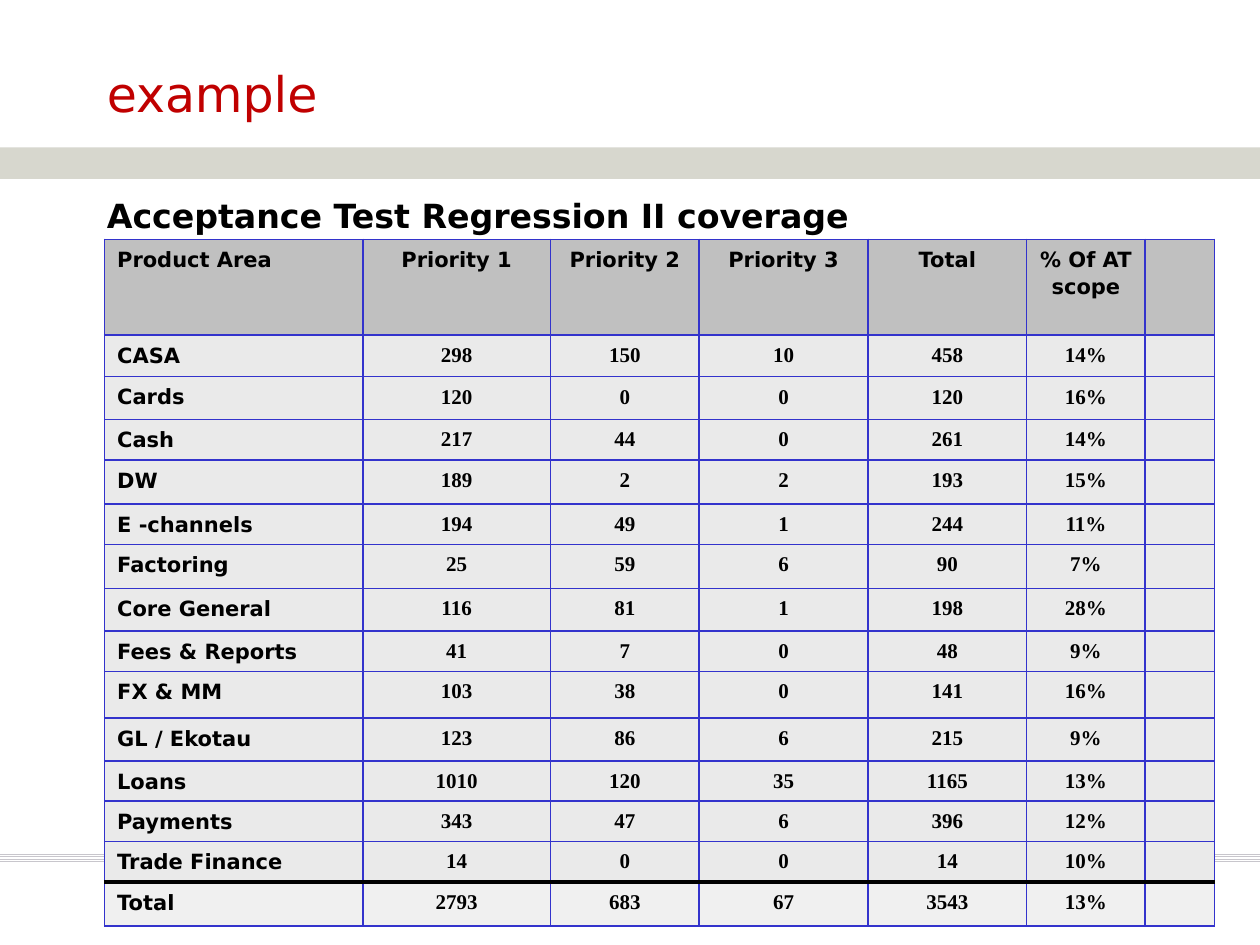
from lxml import etree
from pptx import Presentation
from pptx.dml.color import RGBColor
from pptx.enum.shapes import MSO_CONNECTOR, MSO_SHAPE
from pptx.enum.text import MSO_ANCHOR, PP_ALIGN
from pptx.oxml.ns import qn
from pptx.util import Inches, Pt

STRAIGHT = MSO_CONNECTOR.STRAIGHT
RECTANGLE = MSO_SHAPE.RECTANGLE
TOP, MIDDLE = MSO_ANCHOR.TOP, MSO_ANCHOR.MIDDLE
LEFT, CENTER = PP_ALIGN.LEFT, PP_ALIGN.CENTER

SANS, SERIF = "DejaVu Sans", "Times New Roman"
COLORS = {
    "title": "C00000",
    "text": "000000",
    "band": "D7D7CE",
    "rule": "C8C6CC",
    "header": "C0C0C0",
    "body": "EAEAEA",
    "total": "F0F0F0",
    "border": "3333CC",
    "total_border": "000000",
}

COLUMN_WIDTHS = [2.05, 1.49, 1.18, 1.34, 1.26, 0.94, 0.55]
ROW_HEIGHTS = [0.76, 0.33, 0.34, 0.32, 0.35, 0.32, 0.35, 0.34,
               0.32, 0.37, 0.34, 0.32, 0.32, 0.32, 0.35]
COVERAGE = [
    ["Product Area", "Priority 1", "Priority 2", "Priority 3", "Total", "% Of AT scope", ""],
    ["CASA", "298", "150", "10", "458", "14%", ""],
    ["Cards", "120", "0", "0", "120", "16%", ""],
    ["Cash", "217", "44", "0", "261", "14%", ""],
    ["DW", "189", "2", "2", "193", "15%", ""],
    ["E -channels", "194", "49", "1", "244", "11%", ""],
    ["Factoring", "25", "59", "6", "90", "7%", ""],
    ["Core General", "116", "81", "1", "198", "28%", ""],
    ["Fees & Reports", "41", "7", "0", "48", "9%", ""],
    ["FX & MM", "103", "38", "0", "141", "16%", ""],
    ["GL / Ekotau", "123", "86", "6", "215", "9%", ""],
    ["Loans", "1010", "120", "35", "1165", "13%", ""],
    ["Payments", "343", "47", "6", "396", "12%", ""],
    ["Trade Finance", "14", "0", "0", "14", "10%", ""],
    ["Total", "2793", "683", "67", "3543", "13%", ""],
]


def rgb(name):
    return RGBColor.from_string(COLORS[name])


def style_paragraph(para, size, color, bold=False, font=SANS, align=LEFT, spacing=1.0):
    para.alignment = align
    para.line_spacing = spacing
    para.font.name = font
    para.font.size = Pt(size)
    para.font.bold = bold
    para.font.color.rgb = rgb(color)


def add_rule(page, y):
    rule = page.shapes.add_connector(STRAIGHT, 0, Inches(y), Inches(10), Inches(y))
    rule.line.color.rgb = rgb("rule")
    rule.line.width = Pt(0.5)
    etree.SubElement(rule._element.spPr, qn("a:effectLst"))


def add_band(page, top, height):
    band = page.shapes.add_shape(RECTANGLE, 0, Inches(top), Inches(10), Inches(height))
    band.shadow.inherit = False
    band.fill.solid()
    band.fill.fore_color.rgb = rgb("band")
    band.line.fill.background()


def add_text(page, left, top, width, height, text, anchor=TOP, **style):
    box = page.shapes.add_textbox(Inches(left), Inches(top), Inches(width), Inches(height))
    frame = box.text_frame
    frame.word_wrap = True
    frame.vertical_anchor = anchor
    para = frame.paragraphs[0]
    para.text = text
    style_paragraph(para, **style)


def set_border(cell, side, color, width):
    line = etree.SubElement(cell._tc.get_or_add_tcPr(), qn(f"a:ln{side}"), w=str(Pt(width)))
    fill = etree.SubElement(line, qn("a:solidFill"))
    etree.SubElement(fill, qn("a:srgbClr"), val=COLORS[color])


def fill_cell(cell, text, row, column):
    last = len(COVERAGE) - 1
    # The total row is set off by a heavy line above it
    heavy_side = {last - 1: "B", last: "T"}.get(row)
    for side in "LRTB":
        if side == heavy_side:
            set_border(cell, side, "total_border", 3)
        else:
            set_border(cell, side, "border", 1)
    cell.fill.solid()
    cell.fill.fore_color.rgb = rgb({0: "header", last: "total"}.get(row, "body"))

    para = cell.text_frame.paragraphs[0]
    style_paragraph(para, size=12, color="text", bold=True,
                    font=SANS if row == 0 or column == 0 else SERIF,
                    align=LEFT if column == 0 else CENTER, spacing=1.1)
    if text:
        para.text = text
    else:
        # Keeps an empty cell from stretching its row
        etree.SubElement(para._p, qn("a:endParaRPr"), sz="1200")


def add_coverage_table(page, left, top):
    frame = page.shapes.add_table(
        len(COVERAGE), len(COLUMN_WIDTHS), Inches(left), Inches(top),
        Inches(sum(COLUMN_WIDTHS)), Inches(sum(ROW_HEIGHTS)))
    table = frame.table
    table.first_row = table.horz_banding = False
    for column, width in zip(table.columns, COLUMN_WIDTHS):
        column.width = Inches(width)
    for row, height in zip(table.rows, ROW_HEIGHTS):
        row.height = Inches(height)
    for row, values in enumerate(COVERAGE):
        for column, text in enumerate(values):
            fill_cell(table.cell(row, column), text, row, column)


def main():
    deck = Presentation()
    deck.slide_width, deck.slide_height = Inches(10), Inches(7.5)
    page = deck.slides.add_slide(deck.slide_layouts[6])

    # Footer rules and title band
    for index in range(4):
        add_rule(page, 6.78 + 0.02 * index)
    add_band(page, 1.17, 0.25)

    # Headings
    add_text(page, 0.75, 0.32, 8.5, 0.83, "example", anchor=MIDDLE, size=28, color="title")
    add_text(page, 0.75, 1.47, 8.82, 0.47, "Acceptance Test Regression II coverage",
             size=19, color="text", bold=True, spacing=1.1)

    # Coverage by product area
    add_coverage_table(page, 0.83, 1.9)

    deck.save("out.pptx")


main()
